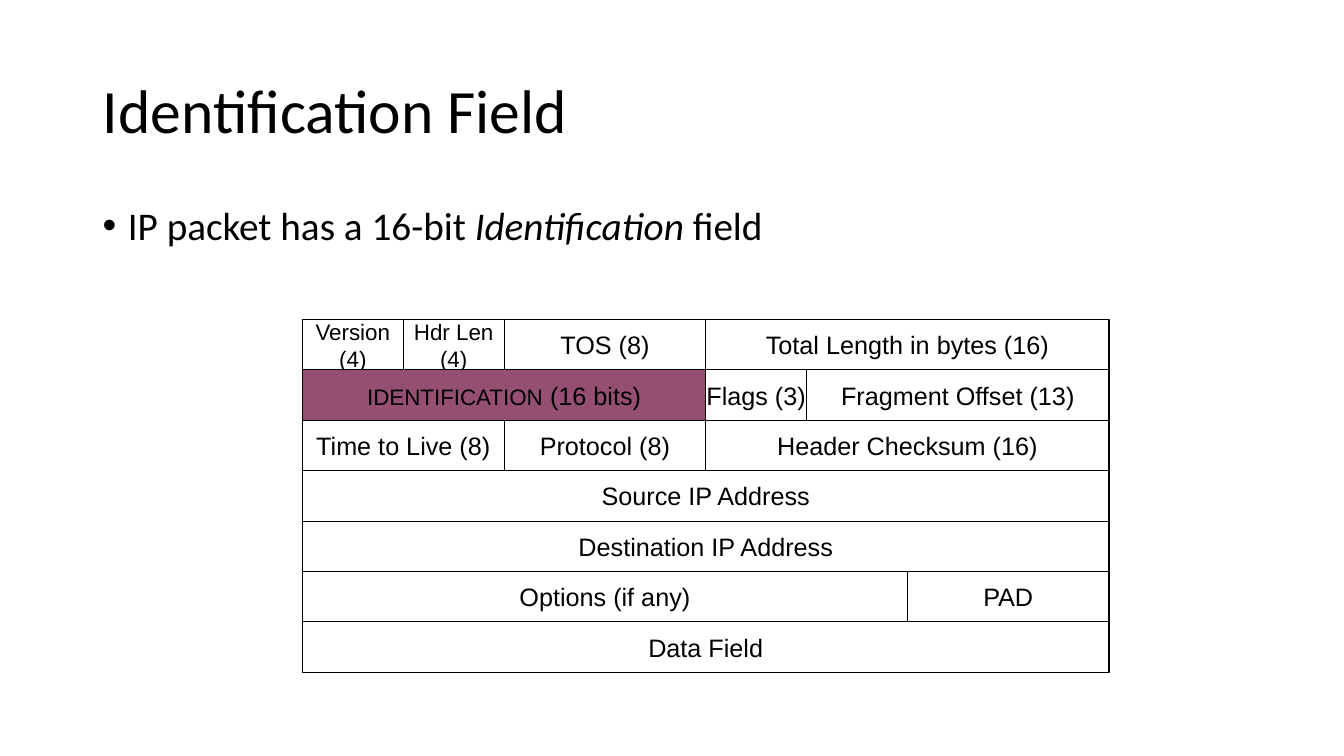
from pptx import Presentation
from pptx.dml.color import RGBColor
from pptx.enum.shapes import MSO_SHAPE
from pptx.enum.text import MSO_ANCHOR, MSO_AUTO_SIZE, PP_ALIGN
from pptx.oxml.ns import qn
from pptx.util import Inches, Pt

RECTANGLE = MSO_SHAPE.RECTANGLE
TOP, MIDDLE = MSO_ANCHOR.TOP, MSO_ANCHOR.MIDDLE
LEFT, CENTER = PP_ALIGN.LEFT, PP_ALIGN.CENTER
NO_AUTOFIT = MSO_AUTO_SIZE.NONE

BLACK, WHITE, PLUM = "000000", "FFFFFF", "954F72"
HEADING_FONT, FIELD_FONT = "Calibri", "Arial"
BITS_PER_ROW = 32

HEADER_ROWS = [
    [(4, ["Version", "(4)"]), (4, ["Hdr Len", "(4)"]), (8, ["TOS (8)"]),
     (16, ["Total Length in bytes (16)"])],
    [(16, [[("IDENTIFICATION", {"size": 16}), (" (16 bits)", {})]]),
     (4, ["Flags (3)"]), (12, ["Fragment Offset (13)"])],
    [(8, ["Time to Live (8)"]), (8, ["Protocol (8)"]), (16, ["Header Checksum (16)"])],
    [(32, ["Source IP Address"])],
    [(32, ["Destination IP Address"])],
    [(24, ["Options (if any)"]), (8, ["PAD"])],
    [(32, ["Data Field"])],
]
HIGHLIGHTED = (1, 0)


def color(hex_string):
    """Turn a hex string into a colour."""
    return RGBColor.from_string(hex_string)


def write_text(frame, paragraphs, size=18, font=FIELD_FONT, align=CENTER,
               anchor=MIDDLE, wrap=False, line_spacing=None, space_before=None):
    """Fill a text frame with paragraphs, each a string or a list of (text, changes)."""
    frame.auto_size = NO_AUTOFIT
    frame.word_wrap = wrap
    frame.vertical_anchor = anchor
    for index, content in enumerate(paragraphs):
        paragraph = frame.add_paragraph() if index else frame.paragraphs[0]
        paragraph.alignment = align
        paragraph.line_spacing = line_spacing
        paragraph.space_before = space_before
        pieces = [(content, {})] if isinstance(content, str) else content
        for text, changes in pieces:
            run = paragraph.add_run()
            run.text = text
            run.font.name = font
            run.font.size = Pt(changes.get("size", size))
            run.font.italic = changes.get("italic")
            run.font.color.rgb = color(BLACK)


def add_bullet(paragraph, indent):
    """Give a paragraph a round bullet with a hanging indent."""
    properties = paragraph._p.get_or_add_pPr()
    properties.set("marL", str(indent))
    properties.set("indent", str(-indent))
    for tag, attribute, value in (("a:buFont", "typeface", "Arial"), ("a:buChar", "char", "•")):
        properties.makeelement(qn(tag), {})
        bullet_part = properties.makeelement(qn(tag), {attribute: value})
        properties.append(bullet_part)


def place_title(slide, left, top, width, height):
    """Move the title placeholder into its box and fill it."""
    title = slide.shapes.title
    title.left, title.top, title.width, title.height = left, top, width, height
    write_text(title.text_frame, ["Identification Field"], size=44, font=HEADING_FONT,
               align=LEFT, wrap=True, line_spacing=0.9)


def add_statement(slide, left, top, width, height):
    """Add the bulleted statement in its box."""
    statement = slide.shapes.add_textbox(left, top, width, height).text_frame
    wording = [("IP packet has a 16-bit ", {}), ("Identification", {"italic": True}),
               (" field", {})]
    write_text(statement, [wording], size=28, font=HEADING_FONT, align=LEFT, anchor=TOP,
               wrap=True, line_spacing=0.9, space_before=Pt(10))
    add_bullet(statement.paragraphs[0], Inches(0.25))


def add_packet_header(slide, left, top, width, height):
    """Draw the IP header, each field as wide as its share of a row."""
    row_height = height // len(HEADER_ROWS)
    bit_width = width // BITS_PER_ROW
    for row, fields in enumerate(HEADER_ROWS):
        first_bit = 0
        for column, (bits, label) in enumerate(fields):
            field = slide.shapes.add_shape(
                RECTANGLE, left + first_bit * bit_width, top + row * row_height,
                bits * bit_width, row_height)
            field.shadow.inherit = False
            field.fill.solid()
            field.fill.fore_color.rgb = color(PLUM if (row, column) == HIGHLIGHTED else WHITE)
            field.line.color.rgb = color(BLACK)
            field.line.width = Pt(0.75)
            write_text(field.text_frame, label, size=16 if len(label) > 1 else 18)
            first_bit += bits


def main():
    """Build the slide and save it."""
    deck = Presentation()
    deck.slide_width, deck.slide_height = Inches(13.33), Inches(7.5)
    slide = deck.slides.add_slide(deck.slide_layouts.get_by_name("Title Only"))
    margin, content_width = Inches(0.92), Inches(11.5)
    place_title(slide, margin, Inches(0.4), content_width, Inches(1.45))
    add_statement(slide, margin, Inches(2), content_width, Inches(4.76))
    add_packet_header(slide, Inches(3), Inches(3.17), Inches(8), Inches(3.5))
    deck.save("out.pptx")


if __name__ == "__main__":
    main()
